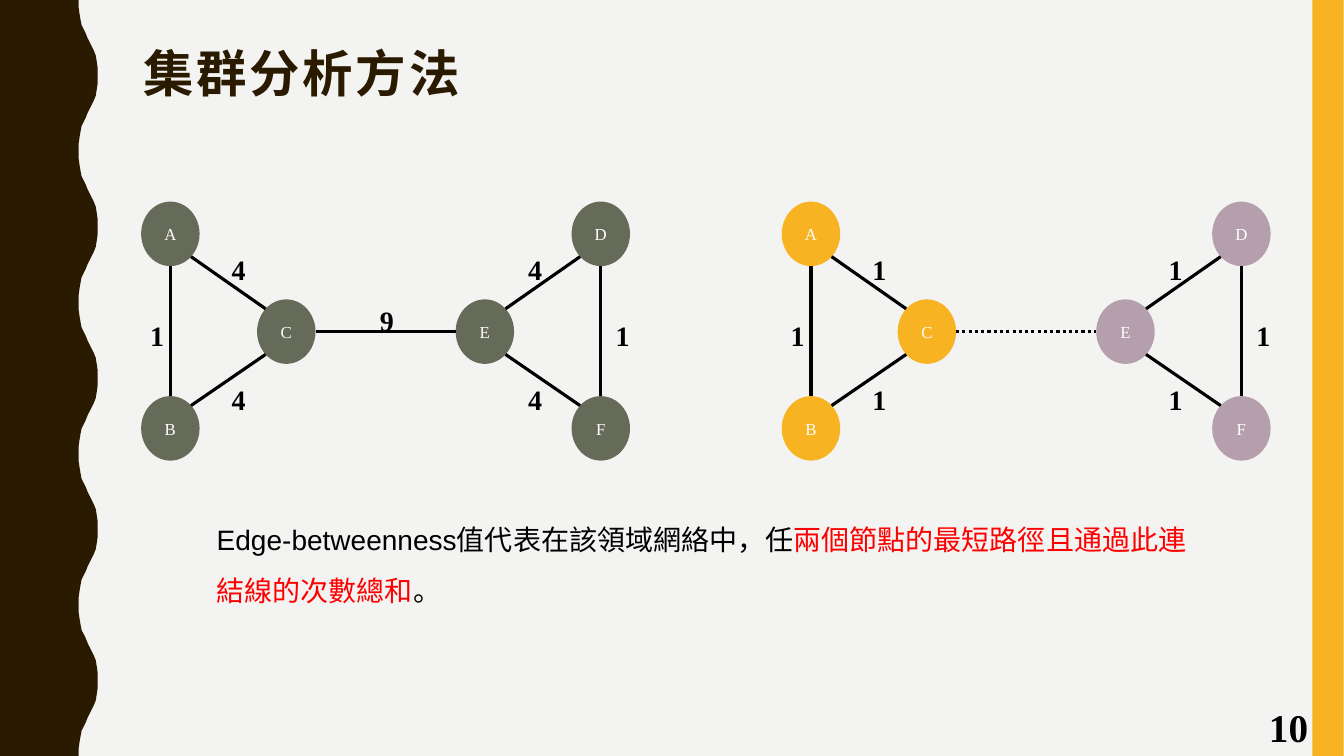
"""Build the slide on cluster analysis with two edge-betweenness networks."""
from math import sqrt

from lxml.etree import SubElement
from pptx import Presentation
from pptx.dml.color import RGBColor
from pptx.enum.dml import MSO_LINE
from pptx.enum.shapes import MSO_CONNECTOR, MSO_SHAPE
from pptx.enum.text import MSO_ANCHOR, MSO_AUTO_SIZE, PP_ALIGN
from pptx.oxml.ns import qn
from pptx.util import Inches, Pt

BROWN = RGBColor(0x2A, 0x1A, 0x00)
AMBER = RGBColor(0xF8, 0xB3, 0x23)
OLIVE = RGBColor(0x65, 0x6A, 0x59)
MAUVE = RGBColor(0xB6, 0x9F, 0xAD)
PALE = RGBColor(0xF3, 0xF3, 0xF2)
BLACK = RGBColor(0, 0, 0)
WHITE = RGBColor(0xFF, 0xFF, 0xFF)
RED = RGBColor(0xFF, 0, 0)

TITLE = "集群分析方法"
EXPLANATION = [
    ("Edge-betweenness值代表在該領域網絡中，任", BLACK),
    ("兩個節點的最短路徑且通過此連結線的次數總和", RED),
    ("。", BLACK),
]
PAGE = "10"

TITLE_FONT = {"name": "Arial", "size": Pt(36), "bold": True}
BODY_FONT = {"name": "Arial", "size": Pt(20), "bold": False}
NODE_FONT = {"name": "Times New Roman", "size": Pt(12), "bold": False}
WEIGHT_FONT = {"name": "Times New Roman", "size": Pt(20), "bold": True}
PAGE_FONT = {"name": "Times New Roman", "size": Pt(28), "bold": True}

NODE_CENTRES = {
    "A": (1.69, 2.32), "B": (1.69, 4.25), "C": (2.84, 3.29),
    "D": (5.96, 2.32), "F": (5.96, 4.25), "E": (4.81, 3.29),
}
NODE_WIDTH, NODE_HEIGHT = 0.58, 0.64
WEIGHT_PLACES = {
    "AC": (2.2, 2.46), "AB": (1.39, 3.11), "BC": (2.2, 3.75), "CE": (3.67, 2.96),
    "ED": (5.14, 2.46), "EF": (5.14, 3.75), "DF": (6.01, 3.11),
}
NETWORKS = [
    {"shift": 0, "left": OLIVE, "right": OLIVE, "weights":
        {"AC": "4", "AB": "1", "BC": "4", "CE": "9", "ED": "4", "EF": "4", "DF": "1"}},
    {"shift": 6.355, "left": AMBER, "right": MAUVE, "weights":
        {"AC": "1", "AB": "1", "BC": "1", "CE": "", "ED": "1", "EF": "1", "DF": "1"}},
]

WAVE_PERIOD, WAVE_COUNT = 1.5, 5
HALF_WAVE = [
    (0.78, 0), (0.78, 0.07), (0.79, 0.14), (0.8, 0.2), (0.81, 0.25),
    (0.83, 0.29), (0.85, 0.33), (0.87, 0.38), (0.89, 0.42), (0.91, 0.46),
    (0.93, 0.5), (0.95, 0.55), (0.96, 0.61), (0.97, 0.68), (0.97, 0.75),
]

prs = Presentation()
prs.slide_width, prs.slide_height = Inches(13.333), Inches(7.5)
slide = prs.slides.add_slide(prs.slide_layouts[1])
slide.background.fill.solid()
slide.background.fill.fore_color.rgb = PALE


def style(font, values, color):
    for attribute, value in values.items():
        setattr(font, attribute, value)
    font.color.rgb = color


def paint(shape, color):
    shape.shadow.inherit = False
    shape.fill.solid()
    shape.fill.fore_color.rgb = color
    shape.line.fill.background()


def place(shape, left, top, width, height):
    shape.left, shape.top = Inches(left), Inches(top)
    shape.width, shape.height = Inches(width), Inches(height)
    frame = shape.text_frame
    frame.word_wrap = True
    frame.auto_size = MSO_AUTO_SIZE.NONE
    frame.vertical_anchor = MSO_ANCHOR.TOP
    return frame.paragraphs[0]


def write(text, left, top, width, height, values):
    box = slide.shapes.add_textbox(0, 0, 0, 0)
    paragraph = place(box, left, top, width, height)
    paragraph.text = text
    style(paragraph.runs[0].font, values, BLACK)


def rim(start, end):
    """Return the point on the start node's rim that faces the end node."""
    signs = [(b > a) - (b < a) for a, b in zip(start, end)]
    reach = 1 / sqrt(sum(map(abs, signs)))
    return (start[0] + signs[0] * reach * NODE_WIDTH / 2,
            start[1] + signs[1] * reach * NODE_HEIGHT / 2)


def draw_node(name, x, y, color):
    node = slide.shapes.add_shape(
        MSO_SHAPE.OVAL, Inches(x - NODE_WIDTH / 2), Inches(y - NODE_HEIGHT / 2),
        Inches(NODE_WIDTH), Inches(NODE_HEIGHT))
    paint(node, color)
    node.text_frame.vertical_anchor = MSO_ANCHOR.MIDDLE
    paragraph = node.text_frame.paragraphs[0]
    paragraph.text = name
    paragraph.alignment = PP_ALIGN.CENTER
    style(paragraph.runs[0].font, NODE_FONT, WHITE)


def draw_edge(start, end, shift, removed):
    (x1, y1), (x2, y2) = rim(start, end), rim(end, start)
    edge = slide.shapes.add_connector(
        MSO_CONNECTOR.STRAIGHT, Inches(x1 + shift), Inches(y1),
        Inches(x2 + shift), Inches(y2))
    SubElement(edge.element.spPr, qn("a:effectLst"))
    edge.line.color.rgb = BLACK
    edge.line.width = Pt(2.25)
    if removed:
        edge.line.dash_style = MSO_LINE.ROUND_DOT


def draw_network(network):
    shift = network["shift"]
    for name, (x, y) in NODE_CENTRES.items():
        draw_node(name, x + shift, y, network["left" if name in "ABC" else "right"])
    for ends, weight in network["weights"].items():
        start, end = (NODE_CENTRES[name] for name in ends)
        draw_edge(start, end, shift, not weight)
    for ends, weight in network["weights"].items():
        if weight:
            x, y = WEIGHT_PLACES[ends]
            write(weight, x + shift, y, 0.36, 0.35, WEIGHT_FONT)


wave = []
for index in range(WAVE_COUNT):
    top = index * WAVE_PERIOD
    wave += [(x, top + y) for x, y in HALF_WAVE]
    wave += [(x, top + WAVE_PERIOD - y) for x, y in reversed(HALF_WAVE[:-1])]
outline = slide.shapes.build_freeform(0, 0, scale=1.0)
outline.add_line_segments(
    [(Inches(x), Inches(y)) for x, y in wave + [(0, 7.5)]], close=True)
paint(outline.convert_to_shape(), BROWN)

paint(slide.shapes.add_shape(
    MSO_SHAPE.RECTANGLE, Inches(13.02), 0, Inches(0.31), Inches(7.5)), AMBER)

heading = place(slide.shapes.title, 1.32, 0.44, 5.73, 0.94)
heading.text = TITLE
heading.alignment = PP_ALIGN.LEFT
heading.line_spacing = 0.9
style(heading.runs[0].font, TITLE_FONT, BROWN)
heading.runs[0].font._element.set("spc", "200")

for network in NETWORKS:
    draw_network(network)

explanation = place(slide.placeholders[1], 2.05, 4.97, 10.02, 1.05)
properties = explanation._p.get_or_add_pPr()
properties.set("marL", "0")
properties.set("indent", "0")
SubElement(properties, qn("a:buNone"))
explanation.line_spacing = 1.5
explanation.space_before = Pt(0)
for text, color in EXPLANATION:
    run = explanation.add_run()
    run.text = text
    style(run.font, BODY_FONT, color)

write(PAGE, 12.49, 6.93, 0.65, 0.57, PAGE_FONT)

prs.save("out.pptx")
